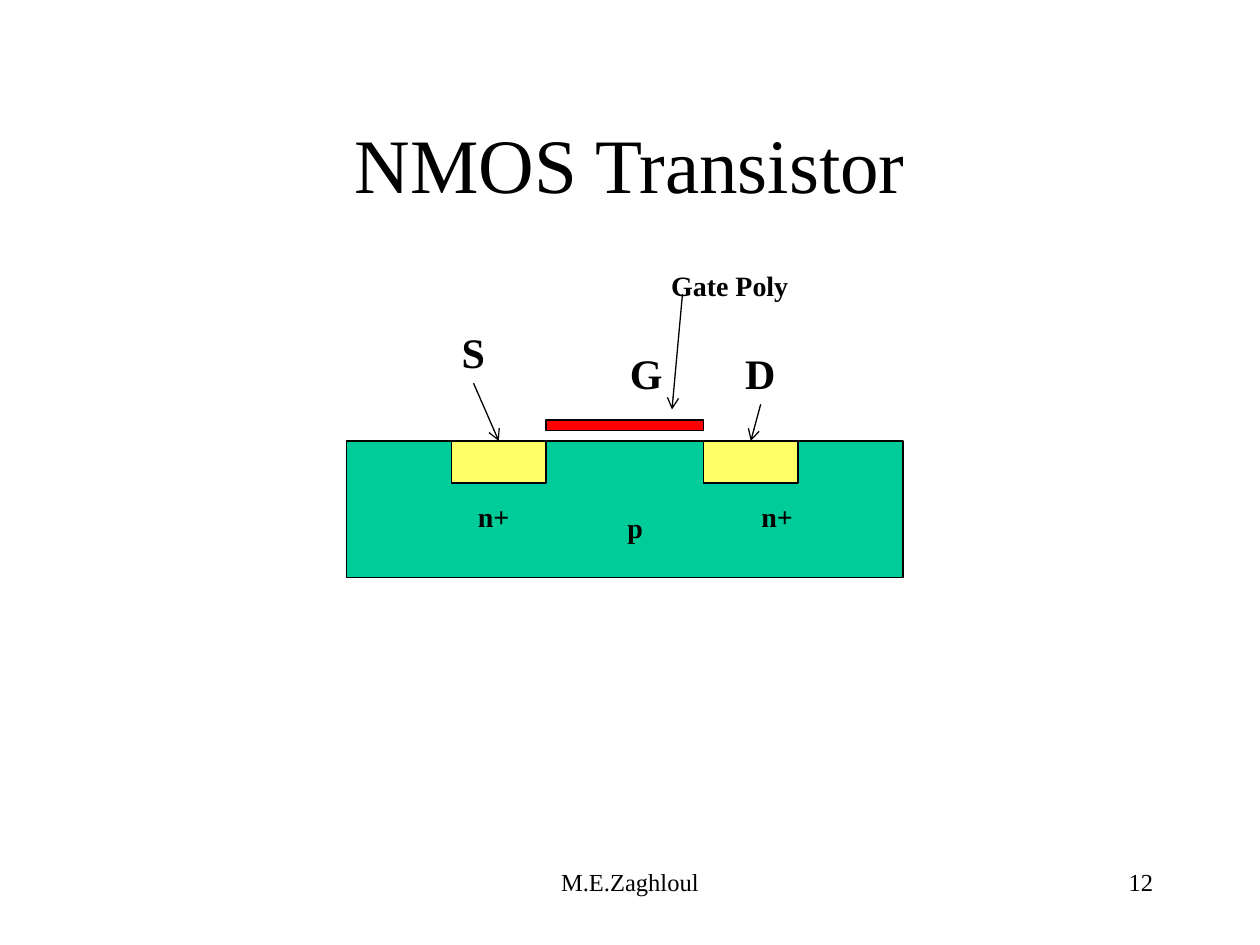
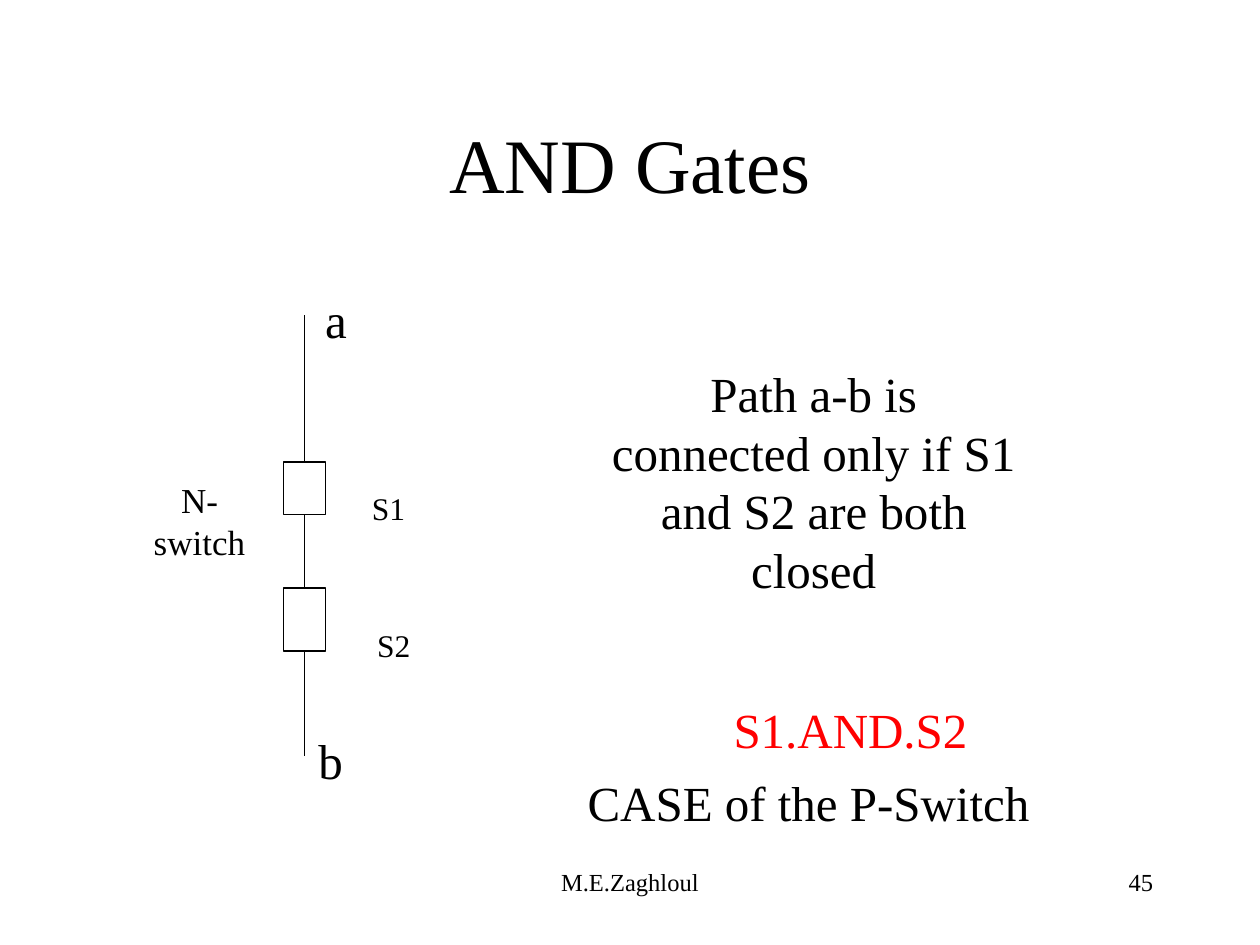
from lxml import etree
from pptx import Presentation
from pptx import util as u
from pptx.dml.color import RGBColor
from pptx.enum import shapes, text
from pptx.oxml.ns import qn

# Places are in grid cells: 120 columns by 90 rows, each 1/12 inch.
COLUMNS, ROWS = 120, 90
CELL = u.Inches(10) // COLUMNS
FONT = "Times New Roman"
COLORS = {"ink": "000000", "paper": "FFFFFF", "substrate": "00CC99",
          "diffusion": "FFFF66", "red": "FF0000"}
ALIGN = {"left": text.PP_ALIGN.LEFT, "center": text.PP_ALIGN.CENTER,
         "right": text.PP_ALIGN.RIGHT}
TOP, BOTTOM = 0, 2
AUTHOR = "M.E.Zaghloul"

TRANSISTOR = {
    "title": "NMOS Transistor", "page": 12,
    "substrate": (33, 42, 53, 13),
    "gate": (52, 40, 15, 1),
    # terminal, its column, row and width, then the column of its diffusion
    "terminals": [("S", 42.8, 30.5, 4.6, 43), ("G", 58.8, 32.5, 5.5, None),
                  ("D", 69.8, 32.5, 5.3, 67)],
    "diffusion": (42, 9, 4),
    "gate_arrow": ((65, 28), (64, 39)),
    "notes": [("n+", 43, 47, 8), ("n+", 70, 47, 8), ("p", 55, 48, 11),
              ("Gate Poly", 61, 25, 17)],
}

AND_GATE = {
    "title": "AND Gates", "page": 45,
    "path": (29, 30, 72),            # column, first row, last row
    "switches": [(44, 5), (56, 6)],  # row, height
    "switch_width": 4,
    # wording, column, row, width, size, lines, colour
    "notes": [
        ("N-switch", 13, 45, 12, 20, 2, "ink"),
        ("S1", 34, 46, 6, 18, 1, "ink"),
        ("S2", 34, 59, 7, 18, 1, "ink"),
        ("a", 27, 27, 10, 28, 1, "ink"),
        ("b", 23, 69, 17, 28, 1, "ink"),
        ("Path a-b is connected only if S1 and S2 are both closed",
         57, 34, 41, 28, 4, "ink"),
        ("S1.AND.S2", 63, 66, 36, 28, 1, "red"),
        ("CASE of the P-Switch", 53, 73, 48, 28, 1, "ink"),
    ],
}


def cells(*counts):
    return [u.Emu(round(count * CELL)) for count in counts]


def rgb(name):
    return RGBColor.from_string(COLORS[name])


def write(slide, wording, column, row, width, *, size, height=None, lines=1,
          align="center", color="ink", bold=False, wrap=True, middle=False,
          space_before=0):
    """Add a text box; without a height it grows to fit its lines."""
    box = slide.shapes.add_textbox(*cells(column, row, width, height or 1))
    frame = box.text_frame
    frame.word_wrap = wrap
    if height is None:
        box.height = u.Pt(lines * size * 1.2 + 7.2)
        frame.auto_size = text.MSO_AUTO_SIZE.SHAPE_TO_FIT_TEXT
    if middle:
        frame.vertical_anchor = text.MSO_ANCHOR.MIDDLE
    paragraph = frame.paragraphs[0]
    paragraph.alignment = ALIGN[align]
    if space_before:
        paragraph.space_before = u.Pt(space_before)
    run = paragraph.add_run()
    run.text = wording
    run.font.name, run.font.size, run.font.bold = FONT, u.Pt(size), bold
    run.font.color.rgb = rgb(color)
    return box


def block(slide, place, color):
    rectangle = slide.shapes.add_shape(shapes.MSO_SHAPE.RECTANGLE, *cells(*place))
    rectangle.shadow.inherit = False
    rectangle.fill.solid()
    rectangle.fill.fore_color.rgb = rgb(color)
    rectangle.line.color.rgb = rgb("ink")
    rectangle.line.width = u.Pt(0.75)
    return rectangle


def connect(slide, start=(0, 0), end=(0, 0), above=None, below=None, arrow=False):
    """Draw a line between points, or from the bottom of above to the top of below."""
    line = slide.shapes.add_connector(shapes.MSO_CONNECTOR.STRAIGHT,
                                      *cells(*start, *end))
    if above is not None:
        line.begin_connect(above, BOTTOM)
    if below is not None:
        line.end_connect(below, TOP)
    line.line.color.rgb = rgb("ink")
    line.line.width = u.Pt(0.75)
    if arrow:
        etree.SubElement(line.line._get_or_add_ln(), qn("a:tailEnd"), type="arrow")
    etree.SubElement(line._element.spPr, qn("a:effectLst"))


def start_slide(deck, content):
    slide = deck.slides.add_slide(deck.slide_layouts[6])
    slide.background.fill.solid()
    slide.background.fill.fore_color.rgb = rgb("paper")
    write(slide, AUTHOR, 41, 82, 38, height=6, size=14)
    write(slide, str(content["page"]), 86, 82, 25, height=6, size=14, align="right")
    write(slide, content["title"], 9, 8, 102, height=15, size=44, middle=True)
    return slide


def draw_transistor(deck, content):
    slide = start_slide(deck, content)
    block(slide, content["substrate"], "substrate")
    block(slide, content["gate"], "red")
    row, width, height = content["diffusion"]
    for name, column, label_row, label_width, diffusion_column in content["terminals"]:
        terminal = write(slide, name, column, label_row, label_width, size=24,
                         align="left", bold=True, wrap=False)
        if diffusion_column is not None:
            diffusion = block(slide, (diffusion_column, row, width, height), "diffusion")
            connect(slide, above=terminal, below=diffusion, arrow=True)
    connect(slide, *content["gate_arrow"], arrow=True)
    for note in content["notes"]:
        write(slide, *note, size=16, bold=True)


def draw_and_gate(deck, content):
    slide = start_slide(deck, content)
    column, first_row, last_row = content["path"]
    width = content["switch_width"]
    switches = [block(slide, (column - width / 2, row, width, height), "paper")
                for row, height in content["switches"]]
    for above, below in zip([None, *switches], [*switches, None]):
        connect(slide, (column, first_row), (column, last_row), above, below)
    for wording, left, row, width, size, lines, color in content["notes"]:
        write(slide, wording, left, row, width, size=size, lines=lines,
              color=color, space_before=size * 0.625)


def main():
    deck = Presentation()
    deck.slide_width, deck.slide_height = cells(COLUMNS, ROWS)
    draw_transistor(deck, TRANSISTOR)
    draw_and_gate(deck, AND_GATE)
    deck.save("out.pptx")


if __name__ == "__main__":
    main()
